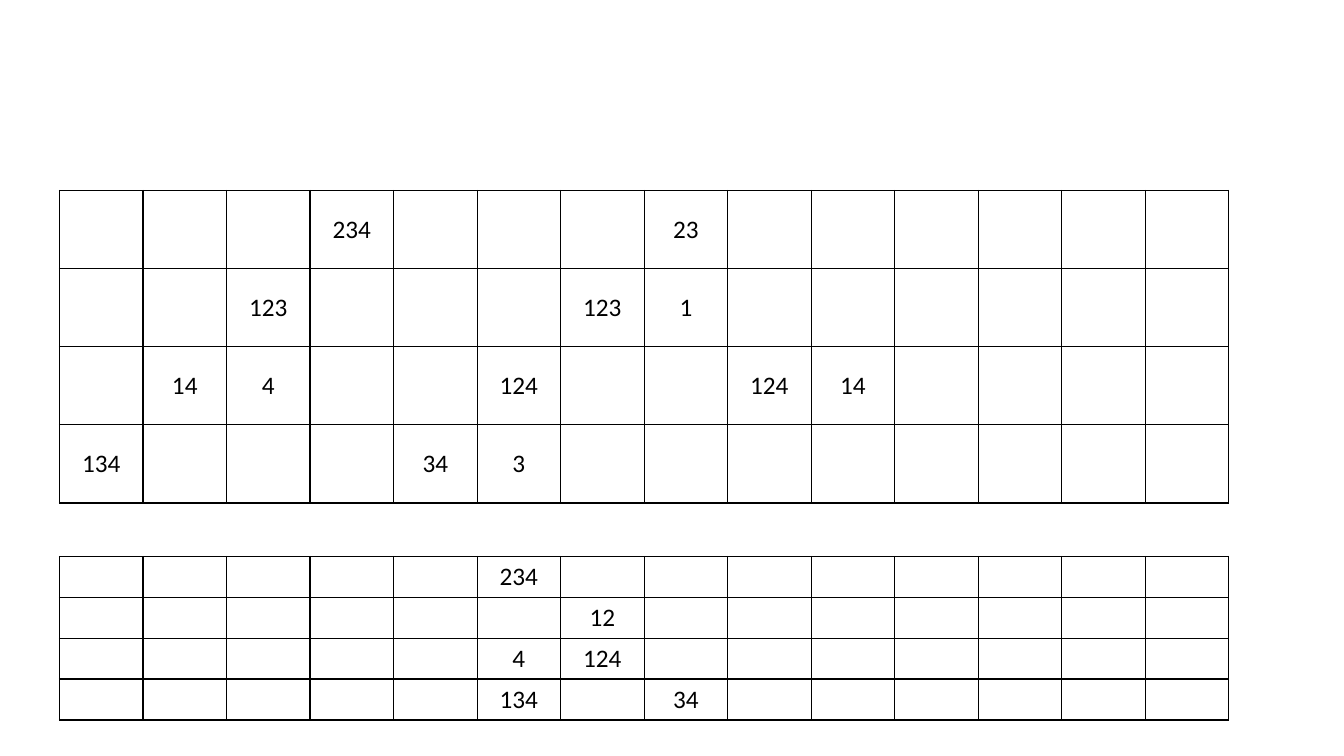
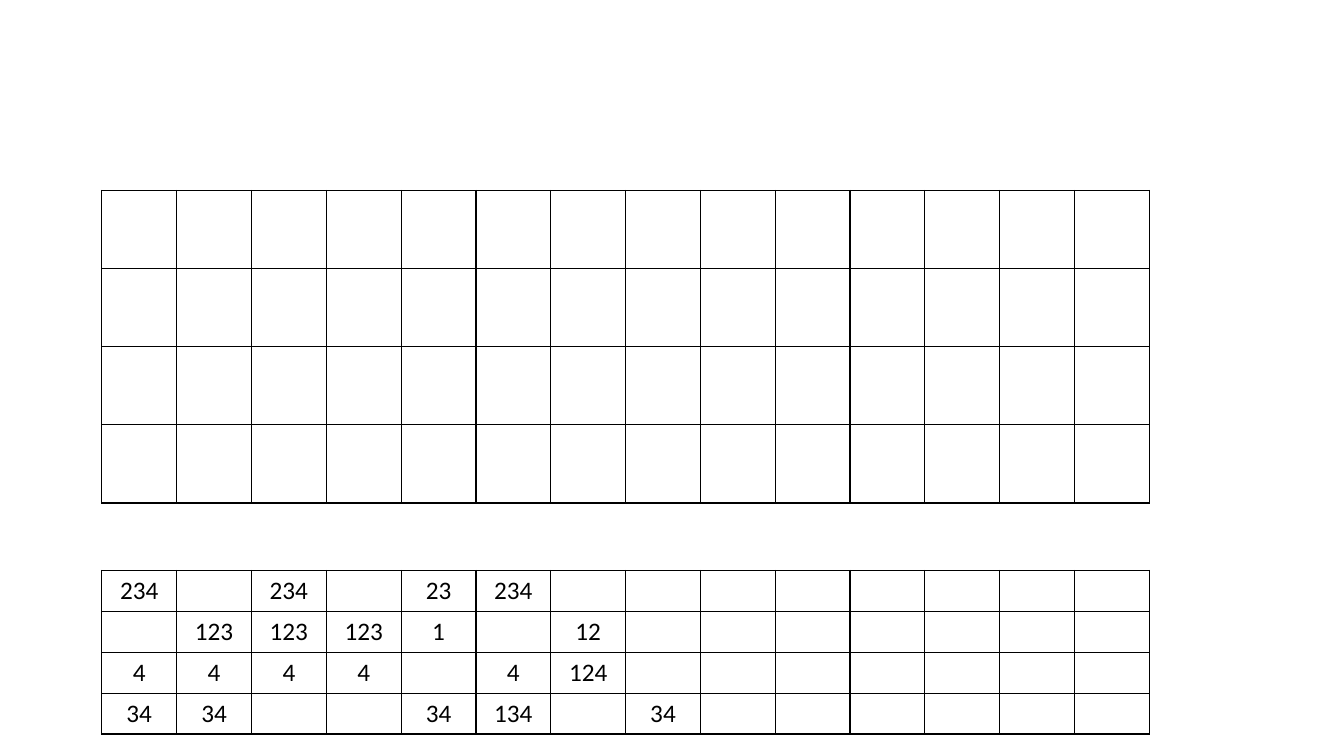
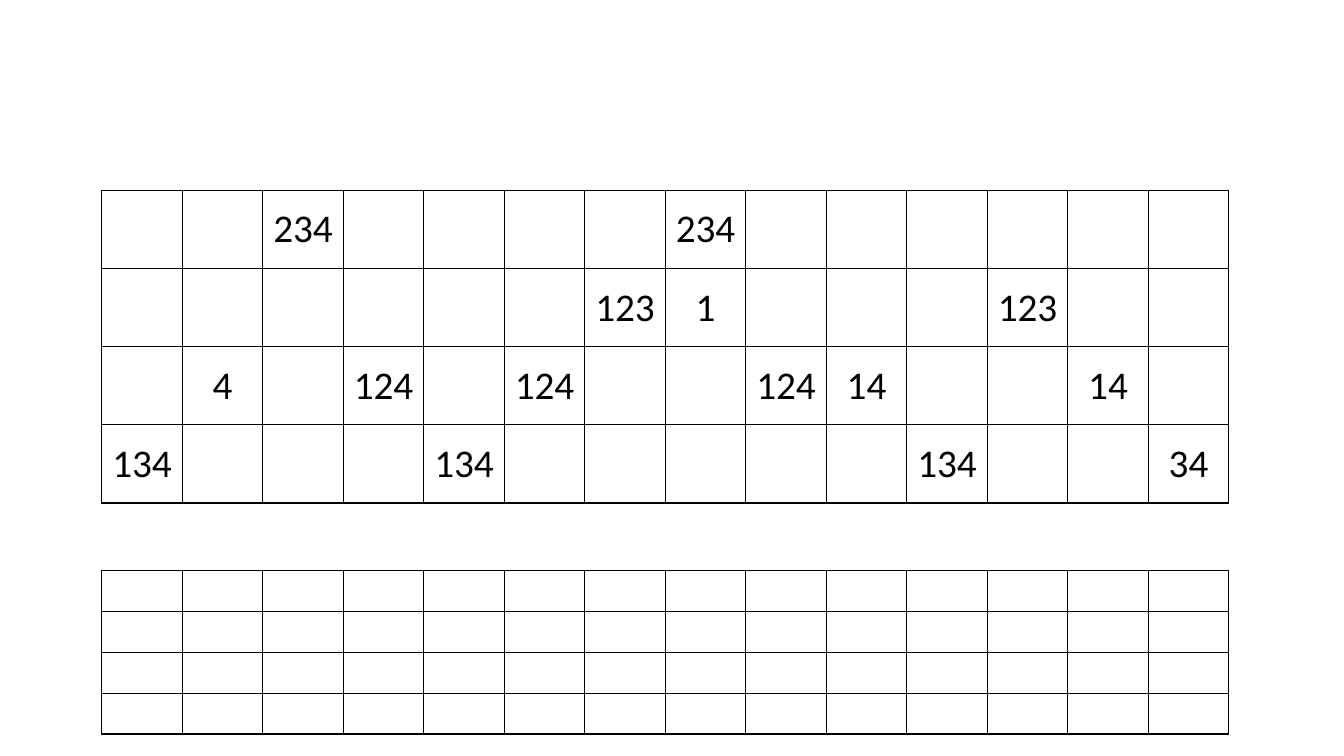
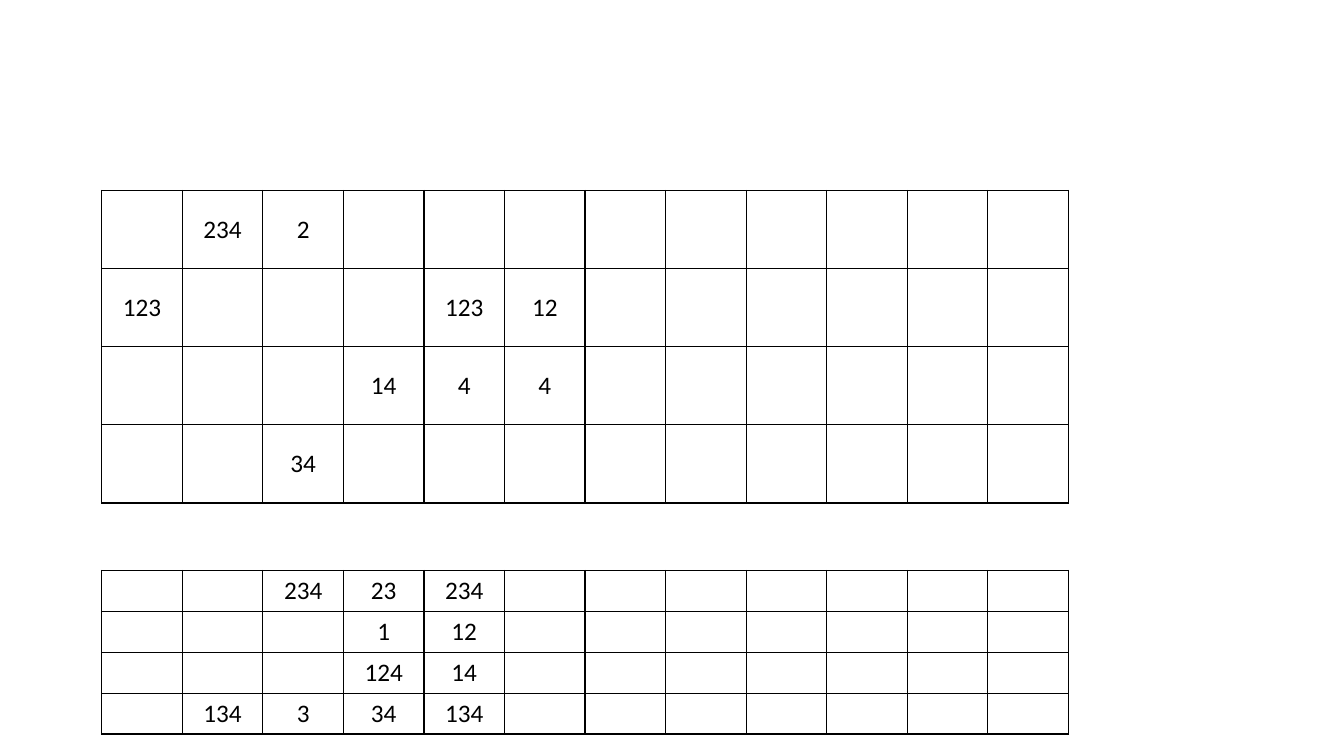
import pptx
import pptx.dml.color
import pptx.enum.text
import pptx.oxml
import pptx.oxml.ns
import pptx.util

SLIDE_WIDTH, SLIDE_HEIGHT = 13.33, 7.5
COLORS = {"ink": "000000", "paper": "FFFFFF"}
FONT = "Calibri"
BORDER_WIDTH = pptx.util.Pt(1)
UPPER_TOP, UPPER_ROW = 1.89, 0.775
LOWER_ROW = 0.4
ROWS = 4
BLANK = "."

# Each line is a table row; a dot is an empty cell and trailing cells stay empty.
SLIDES = [
    {
        "left": 0.59, "width": 11.6, "columns": 14, "lower_top": 5.52,
        "upper": [". . . 234 . . . 23",
                  ". . 123 . . . 123 1",
                  ". 14 4 . . 124 . . 124 14",
                  "134 . . . 34 3"],
        "lower": [". . . . . 234",
                  ". . . . . . 12",
                  ". . . . . 4 124",
                  ". . . . . 134 . 34"],
        "filled_from": 0,
    },
    {
        "left": 1.01, "width": 10.39, "columns": 14, "lower_top": 5.66,
        "upper": [],
        "lower": ["234 . 234 . 23 234",
                  ". 123 123 123 1 . 12",
                  "4 4 4 4 . 4 124",
                  "34 34 . . 34 134 . 34"],
    },
    {
        "left": 1.01, "width": 11.18, "columns": 14, "lower_top": 5.66,
        "upper": [". . 234 . . . . 234",
                  ". . . . . . 123 1 . . . 123",
                  ". 4 . 124 . 124 . . 124 14 . . 14",
                  "134 . . . 134 . . . . . 134 . . 34"],
        "lower": [],
        "upper_size": 28,
    },
    {
        "left": 1.01, "width": 9.59, "columns": 12, "lower_top": 5.66,
        "upper": [". 234 2",
                  "123 . . . 123 12",
                  ". . . 14 4 4",
                  ". . 34"],
        "lower": [". . 234 23 234",
                  ". . . 1 12",
                  ". . . 124 14",
                  ". 134 3 34 134"],
        "filled_from": 1,
    },
]


def color(name):
    return pptx.dml.color.RGBColor.from_string(COLORS[name])


def add_borders(cell):
    properties = cell._tc.get_or_add_tcPr()
    for side in ("lnL", "lnR", "lnT", "lnB"):
        properties.append(pptx.oxml.parse_xml(
            f'<a:{side} {pptx.oxml.ns.nsdecls("a")} w="{BORDER_WIDTH}">'
            f'<a:solidFill><a:srgbClr val="{COLORS["ink"]}"/></a:solidFill>'
            f'</a:{side}>'))


def style_cell(cell, filled):
    add_borders(cell)
    if filled:
        cell.fill.solid()
        cell.fill.fore_color.rgb = color("paper")
    else:
        cell.fill.background()


def write_cell(cell, text, size):
    cell.text_frame.text = text
    cell.vertical_anchor = pptx.enum.text.MSO_ANCHOR.MIDDLE
    para = cell.text_frame.paragraphs[0]
    para.alignment = pptx.enum.text.PP_ALIGN.CENTER
    font = para.runs[0].font
    font.name = FONT
    font.size = pptx.util.Pt(size)
    font.color.rgb = color("ink")


def add_grid(page, left, top, width, columns, row_height, lines, size=18, filled_from=None):
    """Draw a bordered table; columns from filled_from onwards get a fill."""
    frame = page.shapes.add_table(
        ROWS, columns, pptx.util.Inches(left), pptx.util.Inches(top),
        pptx.util.Inches(width), pptx.util.Inches(ROWS * row_height))
    table = frame.table
    table.first_row = False
    table.horz_banding = False
    for row in range(ROWS):
        for column in range(columns):
            style_cell(table.cell(row, column),
                       filled_from is not None and column >= filled_from)
    for row, line in enumerate(lines):
        for column, value in enumerate(line.split()):
            if value != BLANK:
                write_cell(table.cell(row, column), value, size)


def add_page(deck, content):
    page = deck.slides.add_slide(deck.slide_layouts[6])
    left, width, columns = content["left"], content["width"], content["columns"]
    add_grid(page, left, UPPER_TOP, width, columns, UPPER_ROW, content["upper"],
             content.get("upper_size", 18), content.get("filled_from"))
    add_grid(page, left, content["lower_top"], width, columns, LOWER_ROW,
             content["lower"])


def main():
    deck = pptx.Presentation()
    deck.slide_width = pptx.util.Inches(SLIDE_WIDTH)
    deck.slide_height = pptx.util.Inches(SLIDE_HEIGHT)
    for content in SLIDES:
        add_page(deck, content)
    deck.save("out.pptx")


if __name__ == "__main__":
    main()
